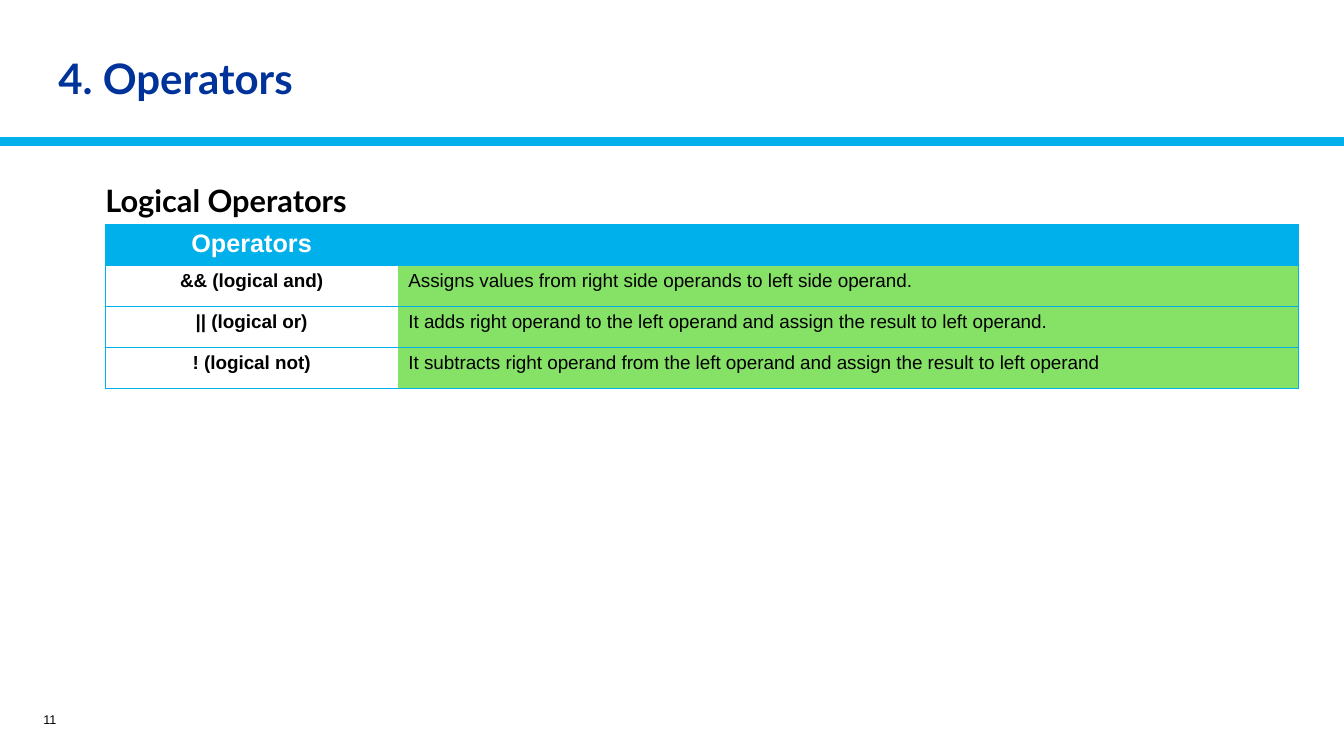
from lxml import etree
from pptx import Presentation
from pptx.dml.color import RGBColor
from pptx.enum import shapes, text
from pptx.oxml.ns import qn
from pptx.util import Pt

HUE = {"sky": "00B0EA", "navy": "003399", "green": "86E167",
       "white": "FFFFFF", "black": "000000"}
ROWS = [
    ("Operators", ""),
    ("&& (logical and)",
     "Assigns values from right side operands to left side operand."),
    ("|| (logical or)",
     "It adds right operand to the left operand and assign the result to left operand."),
    ("! (logical not)",
     "It subtracts right operand from the left operand and assign the result to left operand"),
]
WIDE, HIGH = 960, 540
ALIGN = text.PP_ALIGN


def color(name):
    return RGBColor.from_string(HUE[name])


def write(frame, words, size, hue, font="Arial", bold=False, align=ALIGN.LEFT):
    para = frame.paragraphs[0]
    para.alignment = align
    run = para.add_run()
    run.text = words
    run.font.name, run.font.size, run.font.bold = font, Pt(size), bold
    run.font.color.rgb = color(hue)
    return para


def add_head(slide, left, top, width, height):
    """Place the title and the rule that spans the slide below it."""
    title = slide.shapes.title
    title.left, title.top, title.width, title.height = map(
        Pt, (left, top, width, height))
    frame = title.text_frame
    frame.vertical_anchor = text.MSO_ANCHOR.MIDDLE
    para = write(frame, "4. Operators", 30, "navy", "Lato", True)
    para.line_spacing = 0.9
    level = Pt(top + height + 13)
    rule = slide.shapes.add_connector(
        shapes.MSO_CONNECTOR.STRAIGHT, 0, level, Pt(WIDE), level)
    rule.line.color.rgb = color("sky")
    rule.line.width = Pt(6)
    etree.SubElement(rule._element.spPr, qn("a:effectLst"))


def add_label(slide, box, words, size, anchor, **style):
    frame = slide.shapes.add_textbox(*map(Pt, box)).text_frame
    frame.word_wrap = True
    frame.vertical_anchor = anchor
    write(frame, words, size, "black", **style)


def edge(cell, side, shown):
    line = etree.SubElement(
        cell._tc.get_or_add_tcPr(), qn("a:ln" + side), w=str(Pt(0.5)))
    if shown:
        fill = etree.SubElement(line, qn("a:solidFill"))
        etree.SubElement(fill, qn("a:srgbClr"), val=HUE["sky"])
    else:
        etree.SubElement(line, qn("a:noFill"))


def add_grid(slide, left, top, width, height):
    grid = slide.shapes.add_table(
        len(ROWS), 2, *map(Pt, (left, top, width, height))).table
    grid.first_row = grid.horz_banding = False
    grid.columns[0].width = Pt(209.5)
    grid.columns[1].width = Pt(width - 209.5)
    for r, row in enumerate(ROWS):
        for c, words in enumerate(row):
            cell = grid.cell(r, c)
            for side in "LRTB":
                inner = side == "LR"[1 - c]
                edge(cell, side, not inner)
            cell.fill.solid()
            hue = "sky" if r == 0 else ("white", "green")[c]
            cell.fill.fore_color.rgb = color(hue)
            if words:
                write(cell.text_frame, words, 13.5 if r else 18,
                      "black" if r else "white", bold=c == 0,
                      align=ALIGN.LEFT if c else ALIGN.CENTER)


def main():
    deck = Presentation()
    deck.slide_width, deck.slide_height = Pt(WIDE), Pt(HIGH)
    slide = deck.slides.add_slide(deck.slide_layouts[5])
    add_head(slide, 34.5, 28, 649.5, 60)
    add_label(slide, (68.2, 126, 847.8, 34), "Logical Operators", 22,
              text.MSO_ANCHOR.TOP, font="Lato", bold=True)
    add_grid(slide, 75, 160.5, 852.5, 117)
    add_label(slide, (6.5, 503.5, 41, 21.5), "11", 9,
              text.MSO_ANCHOR.MIDDLE, align=ALIGN.RIGHT)
    deck.save("out.pptx")


if __name__ == "__main__":
    main()
